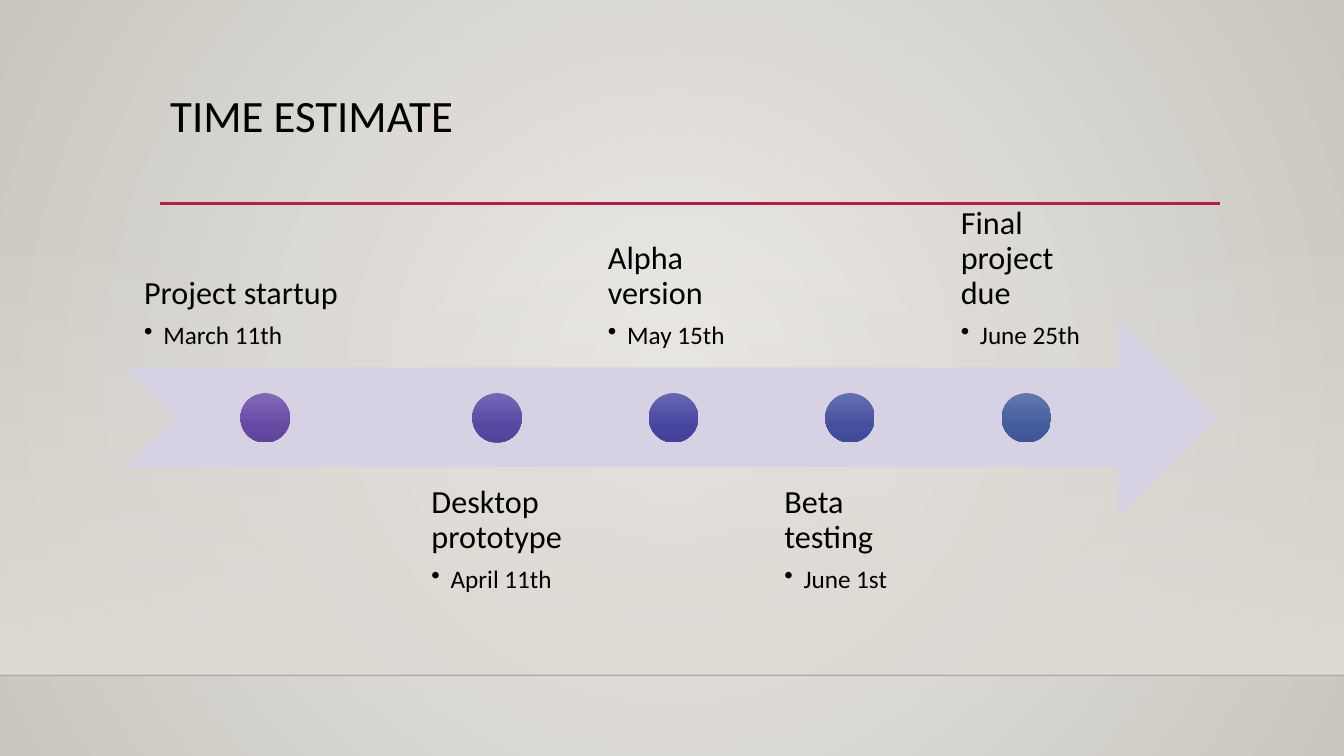
from dataclasses import dataclass

from lxml import etree
from pptx import Presentation
from pptx.dml.color import RGBColor
from pptx.enum.shapes import MSO_CONNECTOR, MSO_SHAPE
from pptx.enum.text import MSO_ANCHOR
from pptx.oxml import parse_xml
from pptx.oxml.ns import nsdecls, qn
from pptx.util import Inches, Pt

RECTANGLE = MSO_SHAPE.RECTANGLE
OVAL = MSO_SHAPE.OVAL
ARROW = MSO_SHAPE.NOTCHED_RIGHT_ARROW
STRAIGHT = MSO_CONNECTOR.STRAIGHT
TOP, BOTTOM = MSO_ANCHOR.TOP, MSO_ANCHOR.BOTTOM

LINEAR = '<a:lin ang="5400000" scaled="0"/>'
CIRCULAR = ('<a:path path="circle"><a:fillToRect l="50000" t="50000" '
            'r="50000" b="50000"/></a:path>')


@dataclass(frozen=True)
class Theme:
    font: str = "Calibri"
    title_size: int = 32
    label_size: int = 23
    date_size: int = 18
    text: str = "000000"
    accent: str = "B71E42"
    arrow: str = "D7D2E3"
    floor_line: str = "000001"
    backdrop: tuple = ((0, "ECEAE7", 100), (100, "CAC7C1", 100))
    wall: tuple = ((0, "DFDBD5", 0), (100, "DFDBD5", 100))


STAGES = [
    ("Project startup", "March 11th", 2.76, ("836AB8", "6648A3", "60459A")),
    ("Desktop\nprototype", "April 11th", 1.66, ("7568B6", "5647A1", "524399")),
    ("Alpha version", "May 15th", 1.66, ("6866B4", "47459F", "434297")),
    ("Beta testing", "June 1st", 1.66, ("646EB2", "444F9D", "404B95")),
    ("Final project due", "June 25th", 1.66, ("6378B0", "425B9B", "3F5793")),
]
DOT_STOPS = (0, 69, 100)
TIMELINE_LEFT = 1.25
STAGE_GAP = 0.09
DOT_SIZE = 0.49


class TimelineSlide:
    """Draws styled elements on one slide."""

    def __init__(self, slide, theme):
        self.slide = slide
        self.theme = theme

    def gradient(self, solid_fill, stops, direction):
        marks = "".join(
            f'<a:gs pos="{position * 1000}"><a:srgbClr val="{color}">'
            f'<a:alpha val="{opacity * 1000}"/></a:srgbClr></a:gs>'
            for position, color, opacity in stops)
        fill = parse_xml(f'<a:gradFill {nsdecls("a")} rotWithShape="1">'
                         f'<a:gsLst>{marks}</a:gsLst>{direction}</a:gradFill>')
        solid_fill.getparent().replace(solid_fill, fill)

    def background(self, stops):
        self.slide.background.fill.solid()
        solid_fill = self.slide.element.xpath(".//p:bgPr/a:solidFill")[0]
        self.gradient(solid_fill, stops, CIRCULAR)

    def shape(self, kind, left, top, width, height, color=None, stops=None):
        shape = self.slide.shapes.add_shape(
            kind, Inches(left), Inches(top), Inches(width), Inches(height))
        shape.shadow.inherit = False
        shape.line.fill.background()
        shape.fill.solid()
        if stops:
            solid_fill = shape.element.xpath("./p:spPr/a:solidFill")[0]
            self.gradient(solid_fill, stops, LINEAR)
        else:
            shape.fill.fore_color.rgb = RGBColor.from_string(color)

    def rule(self, left, right, y, color, weight, opacity=100):
        line = self.slide.shapes.add_connector(
            STRAIGHT, Inches(left), Inches(y), Inches(right), Inches(y))
        line.line.color.rgb = RGBColor.from_string(color)
        line.line.width = Pt(weight)
        tint = line.element.xpath("./p:spPr/a:ln/a:solidFill/a:srgbClr")[0]
        etree.SubElement(tint, qn("a:alpha"), val=str(opacity * 1000))
        etree.SubElement(line.element.spPr, qn("a:effectLst"))

    def text_box(self, left, top, width, height, anchor=TOP, inset=None):
        box = self.slide.shapes.add_textbox(
            Inches(left), Inches(top), Inches(width), Inches(height))
        frame = box.text_frame
        frame.word_wrap = True
        frame.vertical_anchor = anchor
        if inset is not None:
            frame.margin_left = frame.margin_right = Inches(inset)
            frame.margin_top = frame.margin_bottom = Inches(inset)
        return frame

    def set_text(self, paragraph, text, size):
        paragraph.text = text
        paragraph.line_spacing = 0.9
        for run in paragraph.runs:
            run.font.name = self.theme.font
            run.font.size = Pt(size)
            run.font.color.rgb = RGBColor.from_string(self.theme.text)

    def title(self, text):
        frame = self.text_box(1.59, 0.88, 10.5, 1.15)
        self.set_text(frame.paragraphs[0], text, self.theme.title_size)

    def stage_label(self, name, date, left, width, above):
        frame = self.text_box(left, 1.67 if above else 4.64, width, 1.98,
                              BOTTOM if above else TOP, 0.18)
        heading = frame.paragraphs[0]
        self.set_text(heading, name, self.theme.label_size)
        heading.space_after = Pt(8)
        bullet = frame.add_paragraph()
        self.set_text(bullet, date, self.theme.date_size)
        bullet.level = 1
        properties = bullet._p.get_or_add_pPr()
        properties.set("marL", str(Inches(0.19)))
        properties.set("indent", str(Inches(-0.19)))
        etree.SubElement(properties, qn("a:buChar"), char="•")

    def stage(self, name, date, left, width, colors, above):
        self.stage_label(name, date, left, width, above)
        stops = [(position, color, 100)
                 for position, color in zip(DOT_STOPS, colors)]
        self.shape(OVAL, left + (width - DOT_SIZE) / 2, 3.9,
                   DOT_SIZE, DOT_SIZE, stops=stops)


def main():
    theme = Theme()
    presentation = Presentation()
    presentation.slide_width = Inches(13.33)
    presentation.slide_height = Inches(7.5)
    slide = presentation.slides.add_slide(presentation.slide_layouts[6])
    timeline = TimelineSlide(slide, theme)

    timeline.background(theme.backdrop)
    timeline.shape(RECTANGLE, 0, 2.21, 13.33, 4.49, stops=theme.wall)
    timeline.rule(0, 13.33, 6.7, theme.floor_line, 1, opacity=20)
    timeline.rule(1.59, 12.1, 2.02, theme.accent, 2.5)
    timeline.title("TIME ESTIMATE")
    timeline.shape(ARROW, TIMELINE_LEFT, 3.15, 10.83, 1.98, theme.arrow)

    left = TIMELINE_LEFT
    for index, (name, date, width, colors) in enumerate(STAGES):
        timeline.stage(name, date, left, width, colors, index % 2 == 0)
        left += width + STAGE_GAP

    presentation.save("out.pptx")


if __name__ == "__main__":
    main()
